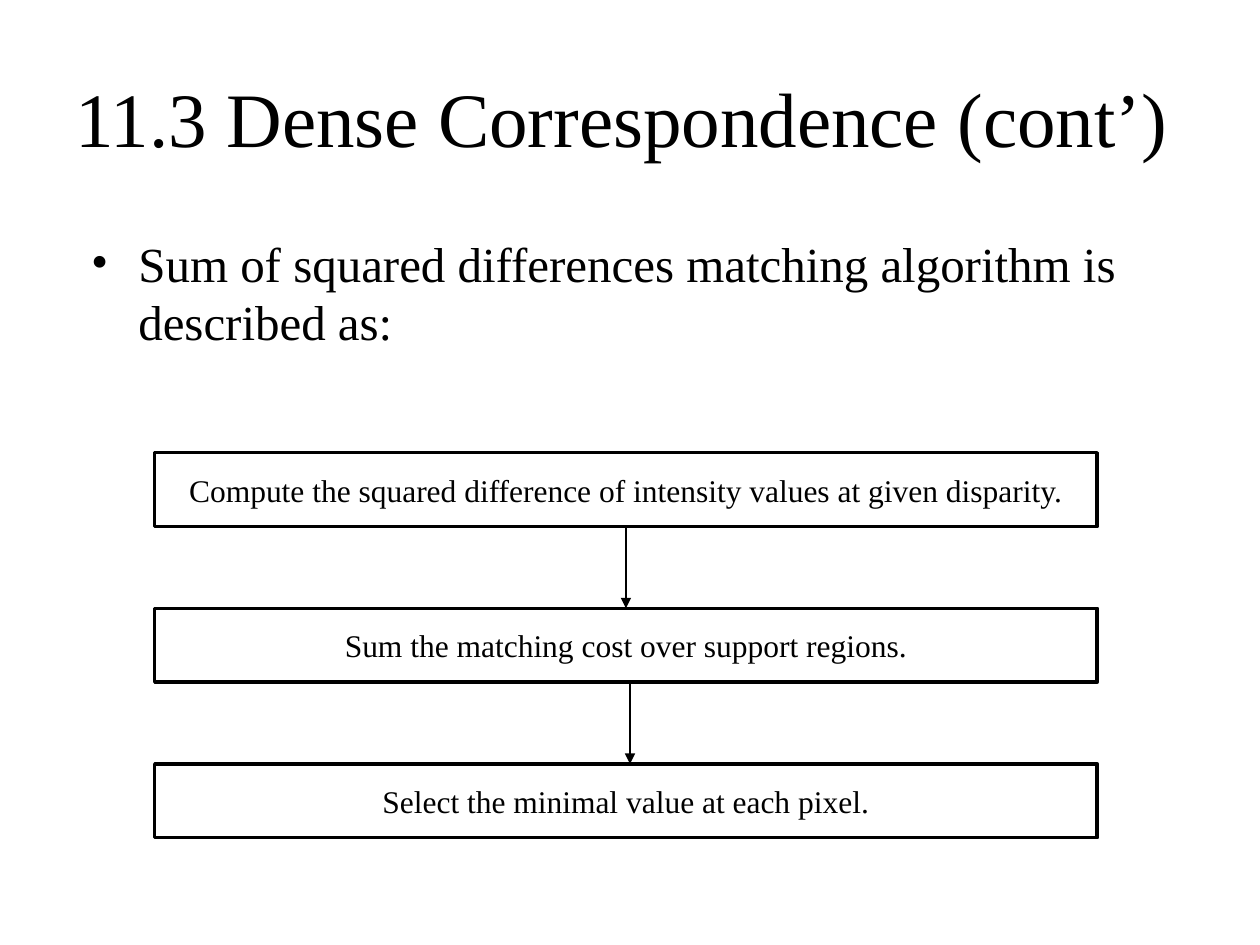
import pptx
import pptx.dml.color
import pptx.enum.shapes
import pptx.enum.text
import pptx.oxml
import pptx.oxml.ns
import pptx.util
from lxml import etree

Pt = pptx.util.Pt
ALIGN = pptx.enum.text.PP_ALIGN
MIDDLE = pptx.enum.text.MSO_ANCHOR.MIDDLE
BLACK = pptx.dml.color.RGBColor(0, 0, 0)
WHITE = pptx.dml.color.RGBColor(255, 255, 255)
FONT = "Times New Roman"


def add_text(paragraph, text, size, align):
    paragraph.alignment = align
    run = paragraph.add_run()
    run.text = text
    run.font.name = FONT
    run.font.size = Pt(size)
    run.font.color.rgb = BLACK


def add_child(parent, tag, **attributes):
    return etree.SubElement(parent, pptx.oxml.ns.qn(tag), attributes)


deck = pptx.Presentation()
deck.slide_width = Pt(720)
deck.slide_height = Pt(540)
slide = deck.slides.add_slide(deck.slide_layouts[6])
slide.background.fill.solid()
slide.background.fill.fore_color.rgb = WHITE

title = slide.shapes.add_textbox(Pt(36), Pt(21.6), Pt(648), Pt(90)).text_frame
title.word_wrap = True
title.vertical_anchor = MIDDLE
add_text(title.paragraphs[0], "11.3 Dense Correspondence (cont’)", 44, ALIGN.LEFT)

intro = slide.shapes.add_textbox(Pt(36), Pt(126), Pt(648), Pt(356.4)).text_frame
intro.word_wrap = True
intro.margin_top = Pt(7.2)
bullet = intro.paragraphs[0]
bullet_format = bullet._p.get_or_add_pPr()
bullet_format.set("marL", str(Pt(36)))
bullet_format.set("indent", str(Pt(-27)))
add_child(add_child(bullet_format, "a:buClr"), "a:srgbClr", val=str(BLACK))
add_child(bullet_format, "a:buFont", typeface=FONT)
add_child(bullet_format, "a:buChar", char="•")
add_text(bullet, "Sum of squared differences matching algorithm is described as:", 28, ALIGN.LEFT)

steps = [
    "Compute the squared difference of intensity values at given disparity.",
    "Sum the matching cost over support regions.",
    "Select the minimal value at each pixel.",
]
step_left, step_top, step_width, step_height, step_pitch = 88.4, 258.7, 538.6, 42.2, 88.9
for index, step in enumerate(steps):
    top = step_top + index * step_pitch
    box = slide.shapes.add_shape(
        pptx.enum.shapes.MSO_SHAPE.RECTANGLE,
        Pt(step_left), Pt(top), Pt(step_width), Pt(step_height))
    box.shadow.inherit = False
    box.fill.solid()
    box.fill.fore_color.rgb = WHITE
    box.line.color.rgb = BLACK
    box.line.width = Pt(2)
    box.text_frame.word_wrap = True
    box.text_frame.vertical_anchor = MIDDLE
    add_text(box.text_frame.paragraphs[0], step, 18, ALIGN.CENTER)

for index, arrow_x in enumerate([357.7, 360]):
    arrow_top = step_top + step_height + index * step_pitch
    arrow_bottom = step_top + (index + 1) * step_pitch
    arrow = slide.shapes.add_connector(
        pptx.enum.shapes.MSO_CONNECTOR.STRAIGHT,
        Pt(arrow_x), Pt(arrow_top), Pt(arrow_x), Pt(arrow_bottom))
    arrow.line.color.rgb = BLACK
    arrow.line.width = Pt(0.75)
    add_child(arrow.line._get_or_add_ln(), "a:tailEnd", type="triangle")
    add_child(arrow._element.spPr, "a:effectLst")

deck.save("out.pptx")
